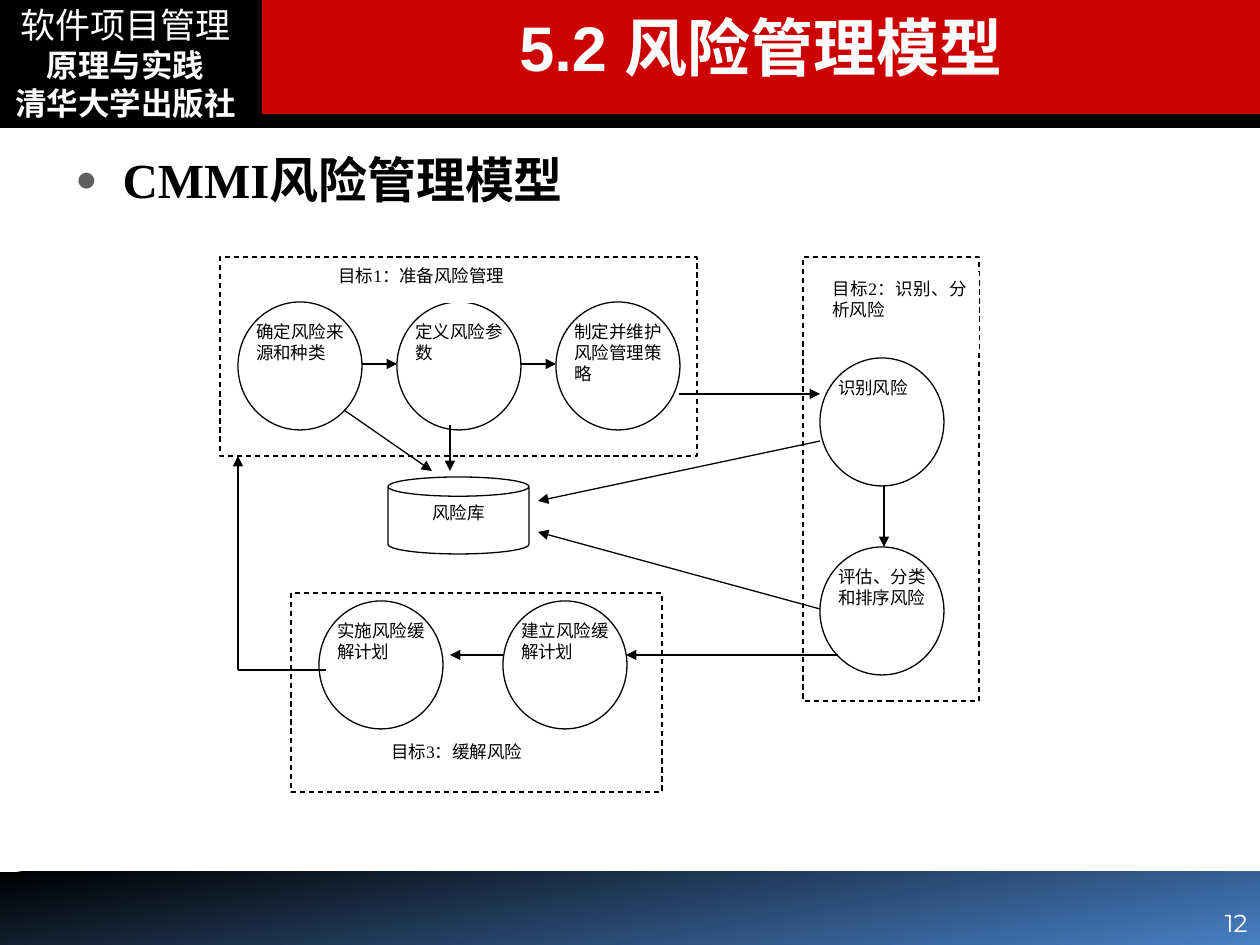
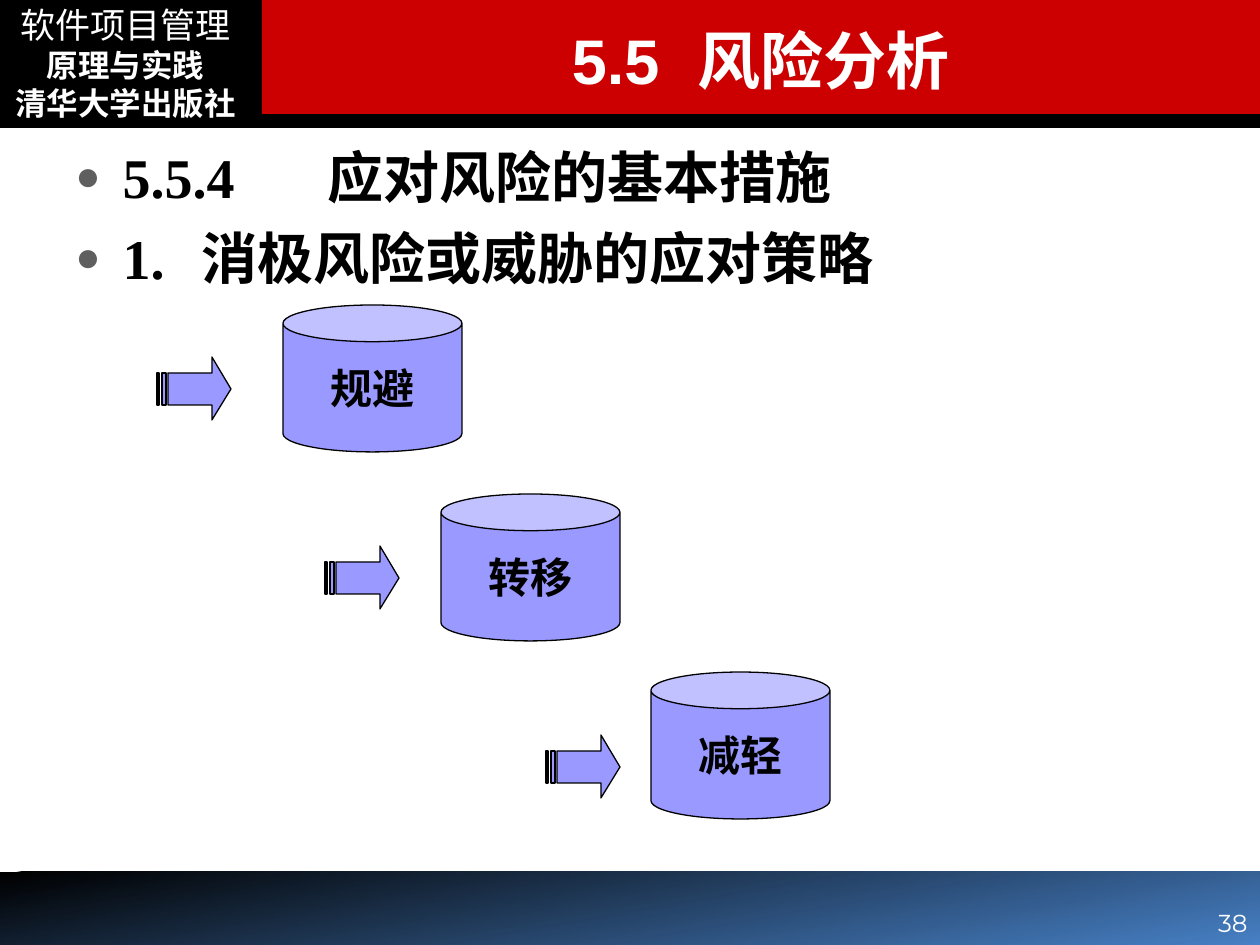
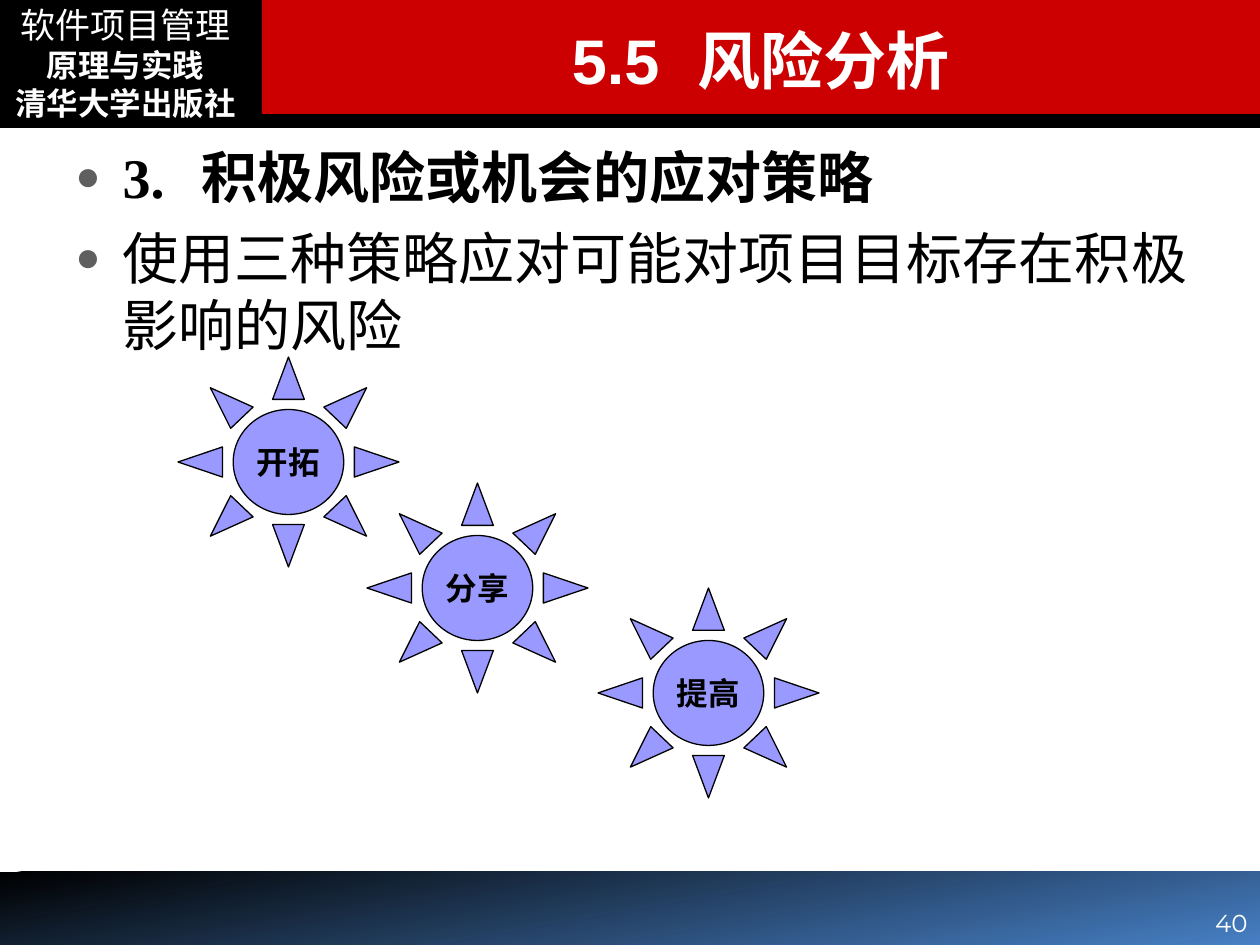
"""Build three slides on software project risk management."""
from lxml import etree
from pptx import Presentation
from pptx import util as u
from pptx.dml import color
from pptx.enum import dml, shapes, text
from pptx.oxml import ns

PX = 914400 / 126
WIDTH, HEIGHT = 1260, 945
BLACK, WHITE, RED, BLUE, LILAC, GREY = "000000", "FFFFFF", "CC0000", "4780C5", "9999FF", "5F5F5F"
SERIF, SANS, NUMBER = "Times New Roman", "Arial", "Montserrat"
SHAPE, ALIGN, ANCHOR = shapes.MSO_SHAPE, text.PP_ALIGN, text.MSO_ANCHOR

BOOK = ["软件项目管理", "原理与实践", "清华大学出版社"]

GOAL_BOXES = [(291, 593, 371, 199), (803, 257, 176, 444), (220, 257, 477, 199)]
GOAL_LABELS = [
    ("目标1：准备风险管理", (326, 259, 247, 44)),
    ("目标2：识别、分析风险", (820, 272, 159, 77)),
    ("目标3：缓解风险", (379, 735, 212, 45)),
]
CIRCLE_SIZE = (124, 128)
CIRCLES = [
    ("确定风险来源和种类", 238, 302),
    ("定义风险参数", 397, 302),
    ("制定并维护风险管理策略", 556, 302),
    ("识别风险", 820, 358),
    ("评估、分类和排序风险", 820, 547),
    ("建立风险缓解计划", 503, 601),
    ("实施风险缓解计划", 319, 601),
]
RISK_STORE = ("风险库", (388, 477, 141, 77))
FLOWS = [
    (362, 364, 397, 364), (520, 364, 556, 364), (344, 410, 432, 471),
    (450, 425, 450, 471), (679, 394, 820, 394), (820, 441, 538, 501),
    (884, 486, 884, 547), (820, 609, 538, 532), (838, 655, 626, 655),
    (503, 655, 450, 655), (238, 670, 238, 456),
]
RETURN_LINE = (326, 670, 238, 670)

THREAT_CANS = [("规避", 283, 305), ("转移", 441, 494), ("减轻", 651, 672)]
CAN_SIZE = (179, 147)
STRIPED_ARROWS = [(157, 357), (325, 546), (546, 735)]
ARROW_OUTLINES = [
    [(11, 16), (55, 16), (55, 0), (74, 32), (55, 63), (55, 48), (11, 48)],
    [(0, 16), (2, 16), (2, 48), (0, 48)],
    [(5, 16), (9, 16), (9, 48), (5, 48)],
]
CHANCE_SUNS = [("开拓", 178, 357), ("分享", 367, 483), ("提高", 598, 588)]
SUN_SIZE = (221, 210)


def px(*lengths):
    return [u.Emu(round(length * PX)) for length in lengths]


def rgb(value):
    return color.RGBColor.from_string(value)


def add_tabs(paragraph, first=0):
    tabs = etree.SubElement(paragraph._p.get_or_add_pPr(), ns.qn("a:tabLst"))
    for inch in range(first, first + 8):
        etree.SubElement(tabs, ns.qn("a:tab"), pos=str(inch * 914400), algn="l")


def add_bullet(paragraph):
    properties = paragraph._p.get_or_add_pPr()
    properties.set("marL", "342900")
    properties.set("indent", "-342900")
    bullet_color = etree.SubElement(properties, ns.qn("a:buClr"))
    etree.SubElement(bullet_color, ns.qn("a:srgbClr"), val=GREY)
    etree.SubElement(properties, ns.qn("a:buSzPct"), val="75000")
    etree.SubElement(properties, ns.qn("a:buFont"), typeface=SANS)
    etree.SubElement(properties, ns.qn("a:buChar"), char="●")


def style(paragraph, size, bold=False, ink=BLACK, font=SERIF, align=None):
    paragraph.alignment = align
    for run in paragraph.runs:
        run.font.size, run.font.bold, run.font.name = u.Pt(size), bold, font
        run.font.color.rgb = rgb(ink)


def prepare_frame(shape, anchor=ANCHOR.TOP, wrap=True, margin=None):
    frame = shape.text_frame
    frame.word_wrap, frame.vertical_anchor = wrap, anchor
    if margin is not None:
        frame.margin_left = frame.margin_right = frame.margin_top = frame.margin_bottom = margin
    return frame


def write(shape, words, size, bold=False, ink=BLACK, font=SERIF, align=ALIGN.CENTER, **frame_options):
    frame = prepare_frame(shape, **frame_options)
    frame.text = words
    paragraph = frame.paragraphs[0]
    add_tabs(paragraph)
    style(paragraph, size, bold, ink, font, align)


def paint(shape, fill, line=BLACK, weight=0.75):
    shape.shadow.inherit = False
    shape.fill.solid()
    shape.fill.fore_color.rgb = rgb(fill)
    if line:
        shape.line.color.rgb = rgb(line)
        shape.line.width = u.Pt(weight)
    else:
        shape.line.fill.background()
    return shape


def add_shape(slide, kind, place, fill=WHITE, line=BLACK, weight=0.75):
    return paint(slide.shapes.add_shape(kind, *px(*place)), fill, line, weight)


def add_flow(slide, ends, arrow=True):
    connector = slide.shapes.add_connector(shapes.MSO_CONNECTOR.STRAIGHT, *px(*ends))
    connector.line.color.rgb = rgb(BLACK)
    connector.line.width = u.Pt(0.75)
    if arrow:
        etree.SubElement(connector.line._get_or_add_ln(), ns.qn("a:tailEnd"), type="triangle")
    etree.SubElement(connector._element.spPr, ns.qn("a:effectLst"))


def add_frame(presentation, title, title_top, number):
    slide = presentation.slides.add_slide(presentation.slide_layouts[6])
    footer = add_shape(slide, SHAPE.RECTANGLE, (0, 872, WIDTH, 73), line=None)
    footer.fill.gradient()
    footer.fill.gradient_angle = 280
    for stop, shade in zip(footer.fill.gradient_stops, (BLACK, BLUE)):
        stop.color.rgb = rgb(shade)
    add_shape(slide, SHAPE.RECTANGLE, (0, 0, WIDTH, 126), BLACK, weight=2)
    add_shape(slide, SHAPE.RECTANGLE, (262, -1, 998, 115), RED, None)

    book_box = slide.shapes.add_textbox(*px(10, 10, 231, 105))
    frame = prepare_frame(book_box, ANCHOR.MIDDLE, wrap=False, margin=0)
    frame.text = "\n".join(BOOK)
    for index, paragraph in enumerate(frame.paragraphs):
        style(paragraph, 18 if index else 20, index > 0, WHITE, align=ALIGN.CENTER)

    title_box = slide.shapes.add_textbox(*px(262, title_top, 998, 92))
    write(title_box, title, 36, True, WHITE, SANS, anchor=ANCHOR.MIDDLE)
    number_box = slide.shapes.add_textbox(*px(1096, 908, 164, 36))
    write(number_box, number, 14, False, WHITE, NUMBER, ALIGN.RIGHT, anchor=ANCHOR.BOTTOM)
    return slide


def add_body(slide, items, size, top=136):
    frame = prepare_frame(slide.shapes.add_textbox(*px(63, top, 1144, 725)))
    frame.text = "\n".join(words for words, bold in items)
    for index, (paragraph, (words, bold)) in enumerate(zip(frame.paragraphs, items)):
        add_bullet(paragraph)
        add_tabs(paragraph, 1)
        if index:
            paragraph.space_before = u.Pt(8)
        style(paragraph, size, bold)


def add_striped_arrow(slide, left, top):
    outlines = [[(left + x, top + y) for x, y in outline] for outline in ARROW_OUTLINES]
    builder = slide.shapes.build_freeform(*outlines[0][0], scale=PX)
    for index, (start, *others) in enumerate(outlines):
        if index:
            builder.move_to(*start)
        builder.add_line_segments(others, close=True)
    paint(builder.convert_to_shape(), LILAC)


def add_lilac_shapes(slide, kind, items, size, font_size):
    for words, left, top in items:
        shape = add_shape(slide, kind, (left, top, *size), LILAC)
        write(shape, words, font_size, True, anchor=ANCHOR.MIDDLE, wrap=False)


def build_model_slide(presentation):
    slide = add_frame(presentation, "5.2 风险管理模型", 0, "12")
    add_body(slide, [("CMMI风险管理模型", True)], 28, top=143)
    for place in GOAL_BOXES:
        box = add_shape(slide, SHAPE.RECTANGLE, place)
        box.line.dash_style = dml.MSO_LINE.DASH
    for words, left, top in CIRCLES:
        circle = add_shape(slide, SHAPE.OVAL, (left, top, *CIRCLE_SIZE))
        write(circle, words, 10, align=ALIGN.JUSTIFY, margin=0)
    for words, place in GOAL_LABELS:
        label = add_shape(slide, SHAPE.RECTANGLE, place, line=None)
        write(label, words, 10, align=ALIGN.JUSTIFY)
    words, place = RISK_STORE
    write(add_shape(slide, SHAPE.CAN, place), words, 10)
    for ends in FLOWS:
        add_flow(slide, ends)
    add_flow(slide, RETURN_LINE, arrow=False)


def build_threat_slide(presentation):
    slide = add_frame(presentation, "5.5\t风险分析", 13, "38")
    add_body(slide, [("5.5.4\t应对风险的基本措施", True), ("1.\t消极风险或威胁的应对策略", True)], 32)
    add_lilac_shapes(slide, SHAPE.CAN, THREAT_CANS, CAN_SIZE, 24)
    for left, top in STRIPED_ARROWS:
        add_striped_arrow(slide, left, top)


def build_chance_slide(presentation):
    slide = add_frame(presentation, "5.5\t风险分析", 13, "40")
    add_body(slide, [("3.\t积极风险或机会的应对策略", True),
                     ("使用三种策略应对可能对项目目标存在积极影响的风险", False)], 32)
    add_lilac_shapes(slide, SHAPE.SUN, CHANCE_SUNS, SUN_SIZE, 18)


def main():
    presentation = Presentation()
    presentation.slide_width, presentation.slide_height = px(WIDTH, HEIGHT)
    build_model_slide(presentation)
    build_threat_slide(presentation)
    build_chance_slide(presentation)
    presentation.save("out.pptx")


if __name__ == "__main__":
    main()
